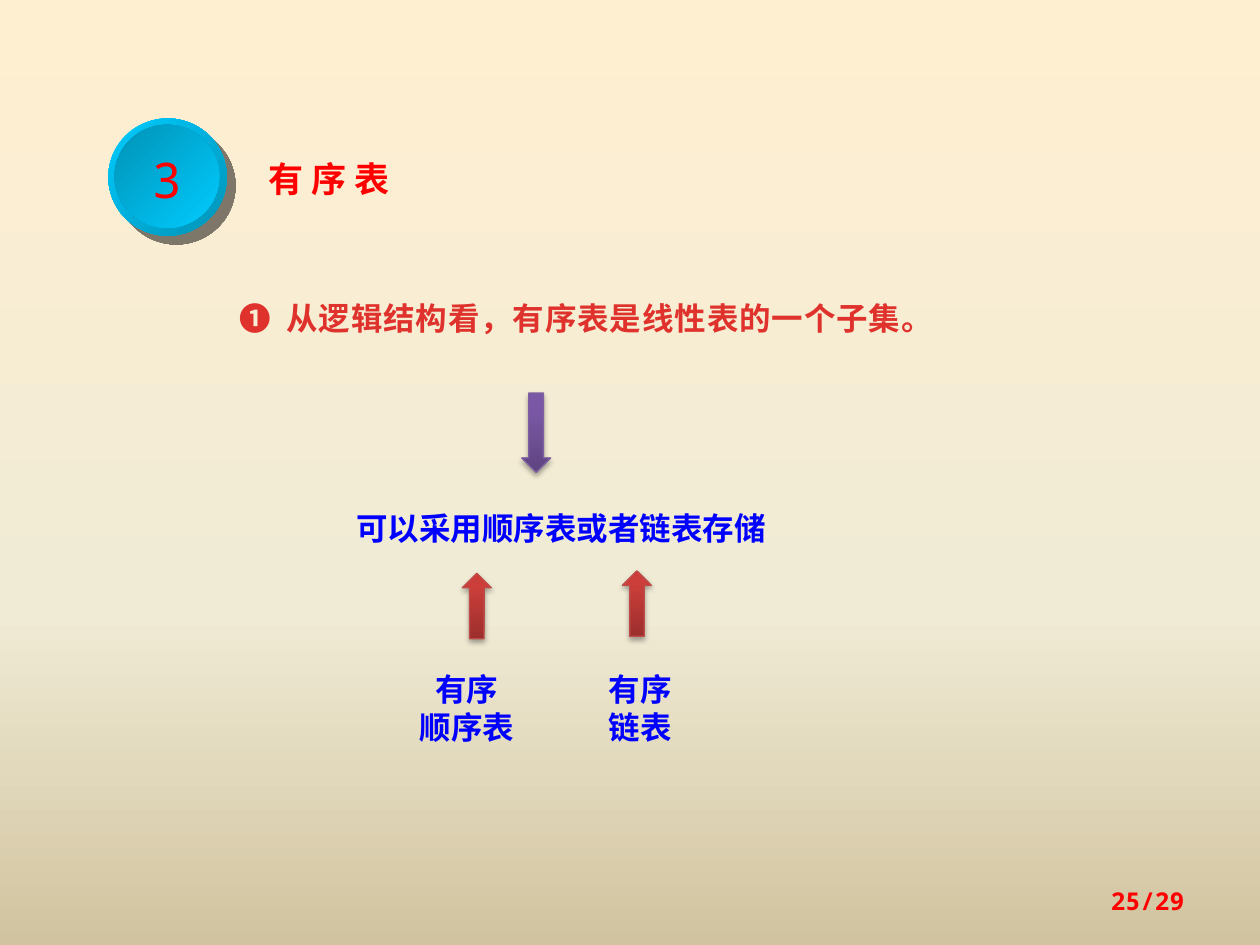
from dataclasses import dataclass

from lxml.etree import SubElement
from pptx import Presentation
from pptx.dml.color import RGBColor
from pptx.dml.fill import FillFormat
from pptx.enum.shapes import MSO_SHAPE
from pptx.enum.text import MSO_ANCHOR, PP_ALIGN
from pptx.oxml.ns import qn
from pptx.oxml.xmlchemy import BaseOxmlElement
from pptx.shapes.autoshape import Shape
from pptx.slide import Slide
from pptx.util import Length, Pt

SANS = "Noto Sans CJK SC"
MONO = "Noto Sans Mono"
COLOURS = {
    "red": "FF0000", "blue": "0000FF", "brick": "E0322D",
    "cyan": "00CCFF", "teal": "0092B6",
    "sky": "FFEFD1", "cream": "F0EBD5", "sand": "D1C39F",
    "purple_dark": "5F4480", "purple": "7B58A6", "purple_light": "7C57A8", "purple_edge": "7D60A0",
    "red_dark": "9C2F2D", "red_mid": "CB3E3A", "red_light": "CE3B37", "red_edge": "BF4C48",
    "medal_shadow": "020202", "arrow_shadow": "000000",
}


@dataclass(frozen=True)
class Gradient:
    stops: tuple[tuple[int, str], ...]
    angle: int


@dataclass(frozen=True)
class Shadow:
    colour: str
    opacity: int
    blur: float
    distance: float
    angle: int


@dataclass(frozen=True)
class Block:
    left: float
    top: float
    width: float
    height: float
    kind: MSO_SHAPE
    gradient: Gradient
    shadow: Shadow | None = None
    edge: str | None = None


@dataclass(frozen=True)
class Label:
    left: float
    top: float
    width: float
    height: float
    text: str
    style: dict


def paint_gradient(fill: FillFormat, owner: BaseOxmlElement, gradient: Gradient) -> None:
    fill.gradient()
    element = next(owner.iter(qn("a:gradFill")))
    for child in list(element):
        element.remove(child)
    stop_list = SubElement(element, qn("a:gsLst"))
    for position, colour in gradient.stops:
        stop = SubElement(stop_list, qn("a:gs"), pos=str(position * 1000))
        SubElement(stop, qn("a:srgbClr"), val=COLOURS[colour])
    SubElement(element, qn("a:lin"), ang=str(gradient.angle * 60000), scaled="0")


def cast_shadow(shape: Shape, shadow: Shadow) -> None:
    effects = shape.element.spPr.find(qn("a:effectLst"))
    outer = SubElement(
        effects, qn("a:outerShdw"), blurRad=str(Pt(shadow.blur)), dist=str(Pt(shadow.distance)),
        dir=str(shadow.angle * 60000), algn="ctr", rotWithShape="0",
    )
    colour = SubElement(outer, qn("a:srgbClr"), val=COLOURS[shadow.colour])
    SubElement(colour, qn("a:alpha"), val=str(shadow.opacity * 1000))


def draw_block(page: Slide, block: Block) -> Shape:
    shape = page.shapes.add_shape(
        block.kind, Pt(block.left), Pt(block.top), Pt(block.width), Pt(block.height)
    )
    shape.shadow.inherit = False
    paint_gradient(shape.fill, shape.element.spPr, block.gradient)
    if block.edge:
        shape.line.color.rgb = RGBColor.from_string(COLOURS[block.edge])
        shape.line.width = Pt(0.75)
    else:
        shape.line.fill.background()
    if block.shadow:
        cast_shadow(shape, block.shadow)
    return shape


def write_text(
    box: Shape, text: str, *, size: float = 18, font: str = SANS, colour: str = "blue",
    bold: bool = True, align: PP_ALIGN = PP_ALIGN.LEFT, anchor: MSO_ANCHOR = MSO_ANCHOR.TOP,
    spacing: float | Length = 1.1, wrap: bool = True, tracking: float = 0, tab: float = 0,
) -> None:
    frame = box.text_frame
    frame.word_wrap = wrap
    frame.vertical_anchor = anchor
    for index, line in enumerate(text.split("\n")):
        para = frame.add_paragraph() if index else frame.paragraphs[0]
        if tab:
            tabs = SubElement(para._p.get_or_add_pPr(), qn("a:tabLst"))
            SubElement(tabs, qn("a:tab"), pos=str(Pt(tab)), algn="l")
        para.alignment = align
        para.line_spacing = spacing
        span = para.add_run()
        span.text = line
        span.font.size = Pt(size)
        span.font.bold = bold
        span.font.color.rgb = RGBColor.from_string(COLOURS[colour])
        span.font.name = font
        properties = span._r.get_or_add_rPr()
        SubElement(properties, qn("a:ea"), typeface=font)
        if tracking:
            properties.set("spc", str(round(tracking * 100)))


def draw_label(page: Slide, label: Label) -> None:
    box = page.shapes.add_textbox(
        Pt(label.left), Pt(label.top), Pt(label.width), Pt(label.height)
    )
    write_text(box, label.text, **label.style)


BACKDROP = Gradient(((0, "sky"), (65, "cream"), (100, "sand")), 90)
PURPLE = Gradient(((0, "purple_dark"), (80, "purple"), (100, "purple_light")), 270)
RED = Gradient(((0, "red_dark"), (80, "red_mid"), (100, "red_light")), 270)
SOFT = Shadow("arrow_shadow", 35, 3.1, 1.8, 90)
HARD = Shadow("medal_shadow", 50, 0, 7.1, 45)

RIM = Block(61.9, 67.7, 67.7, 67, MSO_SHAPE.OVAL, Gradient(((0, "cyan"), (100, "teal")), 45), HARD)
FACE = Block(65.5, 71.3, 59.8, 59, MSO_SHAPE.OVAL, Gradient(((0, "teal"), (100, "cyan")), 45))
ARROWS = (
    Block(298.1, 224.6, 16.6, 45.4, MSO_SHAPE.DOWN_ARROW, PURPLE, SOFT, "purple_edge"),
    Block(264.2, 327.6, 16.6, 37.4, MSO_SHAPE.UP_ARROW, RED, SOFT, "red_edge"),
    Block(355.7, 326.2, 16.6, 37.4, MSO_SHAPE.UP_ARROW, RED, SOFT, "red_edge"),
)
STORAGE = {"align": PP_ALIGN.CENTER, "spacing": Pt(22)}
LABELS = (
    Label(146.2, 84.2, 135.4, 32.4, "有 序 表", {"size": 20, "colour": "red"}),
    Label(129.6, 164.9, 495.4, 29.5, "❶\t从逻辑结构看，有序表是线性表的一个子集。",
          {"colour": "brick", "tracking": 0.5, "tab": 27}),
    Label(196.6, 285.1, 264.2, 31, "可以采用顺序表或者链表存储", {"font": MONO}),
    Label(219.6, 378.7, 94.3, 51.8, "有序\n顺序表", STORAGE),
    Label(331.9, 378.7, 67.7, 51.8, "有序\n链表", STORAGE),
    Label(516.2, 500.4, 167.8, 28.8, "25/29",
          {"size": 14, "font": MONO, "colour": "red", "align": PP_ALIGN.RIGHT,
           "anchor": MSO_ANCHOR.MIDDLE, "spacing": 1.0}),
)


def main() -> None:
    deck = Presentation()
    deck.slide_width, deck.slide_height = Pt(720), Pt(540)
    page = deck.slides.add_slide(deck.slide_layouts[6])
    paint_gradient(page.background.fill, page.element, BACKDROP)
    draw_block(page, RIM)
    write_text(draw_block(page, FACE), "3", size=28, font=MONO, colour="red", bold=False,
               align=PP_ALIGN.CENTER, anchor=MSO_ANCHOR.MIDDLE, wrap=False)
    for arrow in ARROWS:
        draw_block(page, arrow)
    for label in LABELS:
        draw_label(page, label)
    deck.save("out.pptx")


if __name__ == "__main__":
    main()
